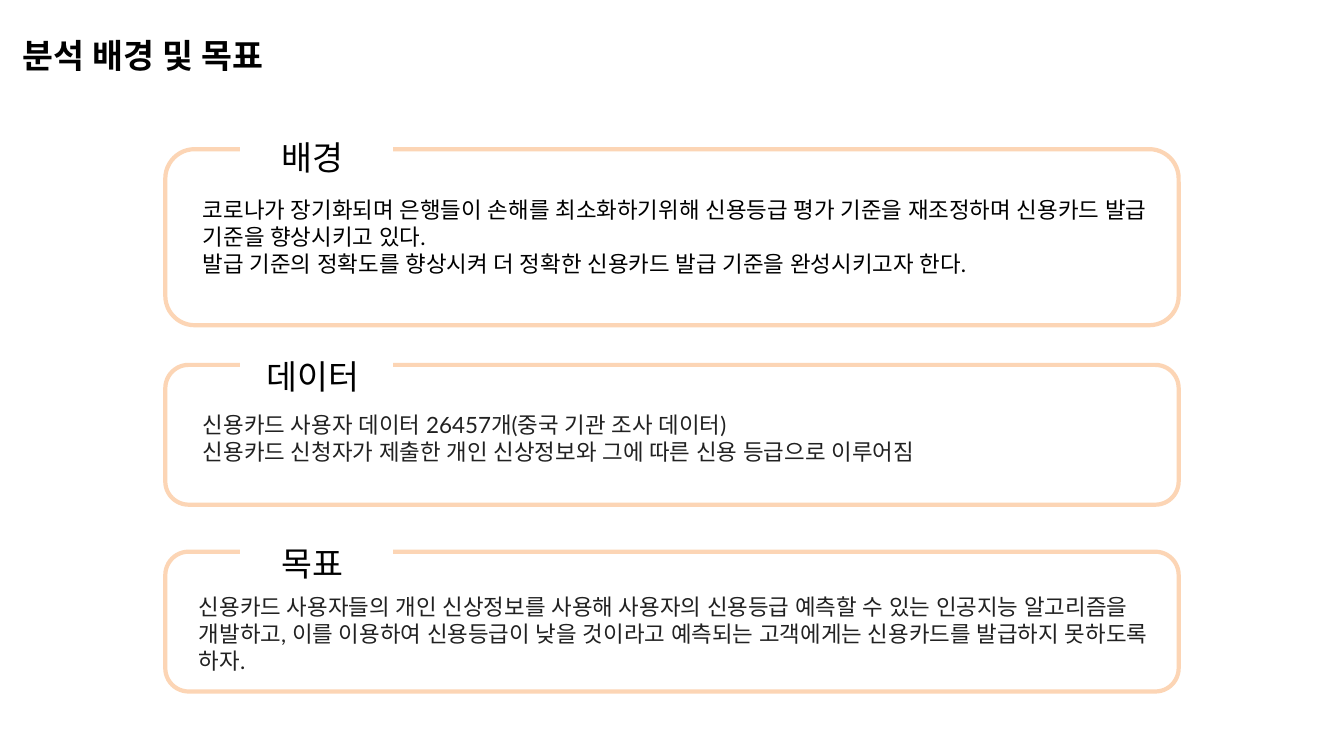
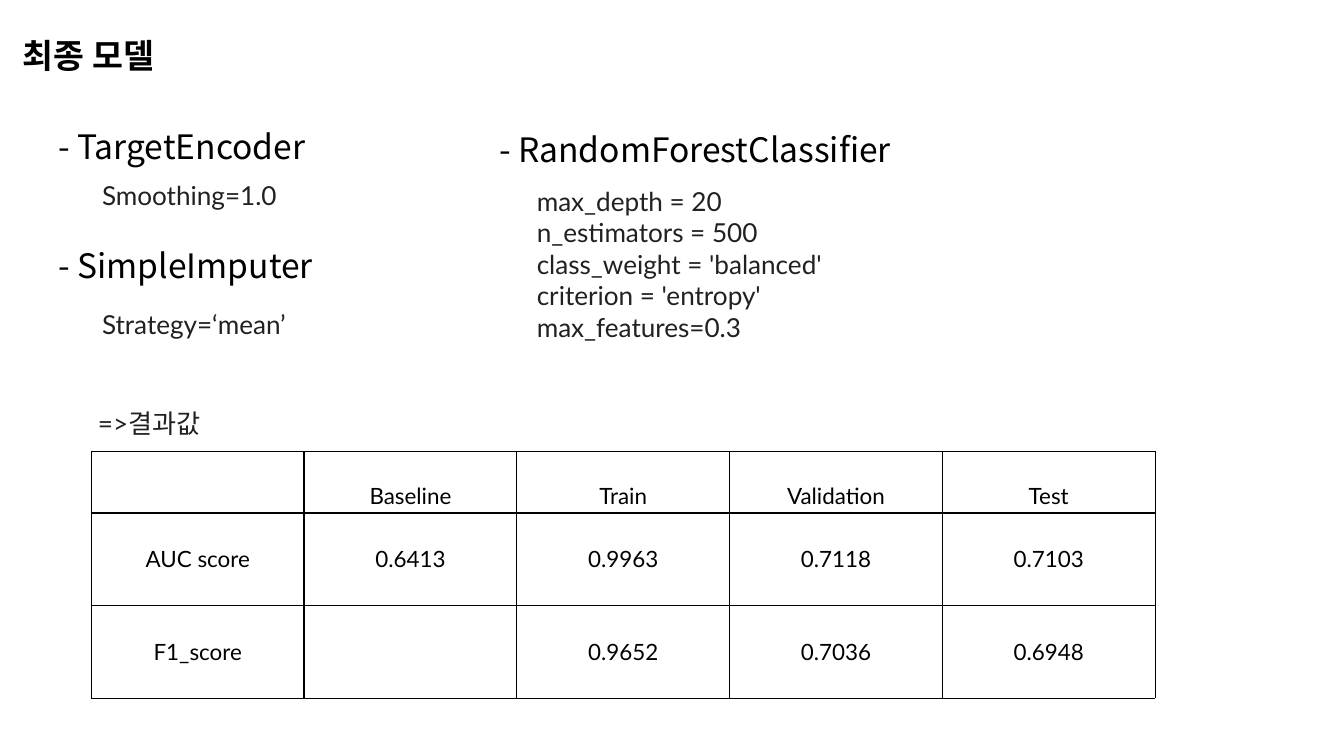
from lxml.etree import SubElement
from pptx import Presentation
from pptx.dml.color import RGBColor
from pptx.enum.shapes import MSO_SHAPE
from pptx.enum.text import MSO_ANCHOR, MSO_AUTO_SIZE, PP_ALIGN
from pptx.oxml.ns import qn
from pptx.util import Inches, Pt

COLORS = {"ink": "000000", "body": "212121", "frame": "FCD5B5", "paper": "FFFFFF"}
LATO = "Lato"
NOTO = "Noto Sans CJK KR"
HEADING_ROWS = 6.31

deck = Presentation()
deck.slide_width = Inches(20)
deck.slide_height = Inches(11.25)
COL = deck.slide_width / 100
ROW = deck.slide_height / 100


def place(left, top, width, height):
    return int(left * COL), int(top * ROW), int(width * COL), int(height * ROW)


def write(slide, text, area, size, font=LATO, color="body", bold=None, indent=0.5, align=None):
    frame = slide.shapes.add_textbox(*place(*area)).text_frame
    frame.word_wrap = True
    frame.auto_size = MSO_AUTO_SIZE.SHAPE_TO_FIT_TEXT
    frame.margin_left = int(indent * COL)
    frame.text = text
    for paragraph in frame.paragraphs:
        paragraph.alignment = align
        for run in paragraph.runs:
            run.font.size = Pt(size)
            run.font.name = font
            run.font.bold = bold
            run.font.color.rgb = RGBColor.from_string(COLORS[color])
            SubElement(run.font._element, qn("a:ea"), typeface=font)


pages = []
for title in ["분석 배경 및 목표", "최종 모델"]:
    page = deck.slides.add_slide(deck.slide_layouts[6])
    write(page, title, (0, 4.18, 20.45, HEADING_ROWS), 36, color="ink", bold=True, indent=1.65)
    pages.append(page)
purpose, model = pages

sections = [
    ("배경", 19.73, 23.29, 14.6, 25.51, 11.64, "ink",
     "코로나가 장기화되며 은행들이 손해를 최소화하기위해 신용등급 평가 기준을 재조정하며 신용카드 발급 기준을 향상시키고 있다.\n"
     "발급 기준의 정확도를 향상시켜 더 정확한 신용카드 발급 기준을 완성시키고자 한다."),
    ("데이터", 48.27, 18.49, 14.6, 53.96, 8.09, "body",
     "신용카드 사용자 데이터 26457개(중국 기관 조사 데이터)\n"
     "신용카드 신청자가 제출한 개인 신상정보와 그에 따른 신용 등급으로 이루어짐"),
    ("목표", 72.98, 18.49, 14.3, 78.04, 11.64, "body",
     "신용카드 사용자들의 개인 신상정보를 사용해 사용자의 신용등급 예측할 수 있는 인공지능 알고리즘을 개발하고, "
     "이를 이용하여 신용등급이 낮을 것이라고 예측되는 고객에게는 신용카드를 발급하지 못하도록 하자."),
]
for label, top, height, body_left, body_top, body_height, color, body in sections:
    write(purpose, body, (body_left, body_top, 74.6, body_height), 24, color=color)
    gap_top = top - 0.08 * height
    panel = purpose.shapes.add_group_shape()
    border = panel.shapes.add_shape(MSO_SHAPE.ROUNDED_RECTANGLE, *place(12.3, top, 75.4, height))
    border.fill.background()
    label_gap = panel.shapes.add_shape(
        MSO_SHAPE.RECTANGLE, *place(17.9, gap_top, 11.25, 0.16 * height))
    label_gap.fill.solid()
    label_gap.fill.fore_color.rgb = RGBColor.from_string(COLORS["paper"])
    for part, line_color, weight in [(border, "frame", 4.5), (label_gap, "paper", 2)]:
        part.shadow.inherit = False
        part.line.color.rgb = RGBColor.from_string(COLORS[line_color])
        part.line.width = Pt(weight)
    write(purpose, label, (17.9, gap_top - 0.15, 10, HEADING_ROWS), 36, NOTO, "ink",
          indent=1.25, align=PP_ALIGN.CENTER)

scores = [
    ["", "Baseline", "Train", "Validation", "Test"],
    ["AUC score", "0.6413", "0.9963", "0.7118", "0.7103"],
    ["F1_score", "", "0.9652", "0.7036", "0.6948"],
]
row_shares = [8.1, 12.25, 12.25]
score_table = model.shapes.add_table(
    len(scores), len(scores[0]), *place(6.8, 59.73, 79.15, sum(row_shares))).table
score_table.first_row = False
score_table.horz_banding = False
for r, (share, values) in enumerate(zip(row_shares, scores)):
    score_table.rows[r].height = int(share * ROW)
    for c, value in enumerate(values):
        cell = score_table.cell(r, c)
        cell.vertical_anchor = MSO_ANCHOR.MIDDLE if r else MSO_ANCHOR.BOTTOM
        cell.text = value
        paragraph = cell.text_frame.paragraphs[0]
        paragraph.alignment = PP_ALIGN.CENTER
        paragraph.font.size = Pt(24)
        for run in paragraph.runs:
            run.font.size = Pt(24)
            run.font.name = LATO
            run.font.color.rgb = RGBColor.from_string(COLORS["ink"])
        heavy_sides = {"lnL": c == 1, "lnR": c == 0, "lnT": r == 1, "lnB": r == 0}
        for side, heavy in heavy_sides.items():
            edge = SubElement(cell._tc.get_or_add_tcPr(), qn(f"a:{side}"),
                              w=str(Pt(3 if heavy else 1)))
            SubElement(SubElement(edge, qn("a:solidFill")), qn("a:srgbClr"), val=COLORS["ink"])
        cell.fill.solid()
        cell.fill.fore_color.rgb = RGBColor.from_string(COLORS["paper"])

steps = [
    ("- TargetEncoder", (3.85, 16.27, 37.85, HEADING_ROWS),
     "Smoothing=1.0", (7.1, 23.29, 59.15, 7.82)),
    ("- SimpleImputer", (3.85, 31.91, 34.95, HEADING_ROWS),
     "Strategy=‘mean’", (7.1, 40.36, 59.15, 7.82)),
    ("- RandomForestClassifier", (36.65, 16.62, 34.95, HEADING_ROWS),
     "max_depth = 20\nn_estimators = 500\nclass_weight = 'balanced'\n"
     "criterion = 'entropy'\nmax_features=0.3", (39.45, 24.09, 26.8, 21.87)),
]
for step, step_area, settings, settings_area in steps:
    write(model, step, step_area, 36, NOTO, "ink")
    write(model, settings, settings_area, 28)
write(model, "=>결과값", (6.8, 53.42, 59.15, 7.82), 28)

deck.save("out.pptx")
